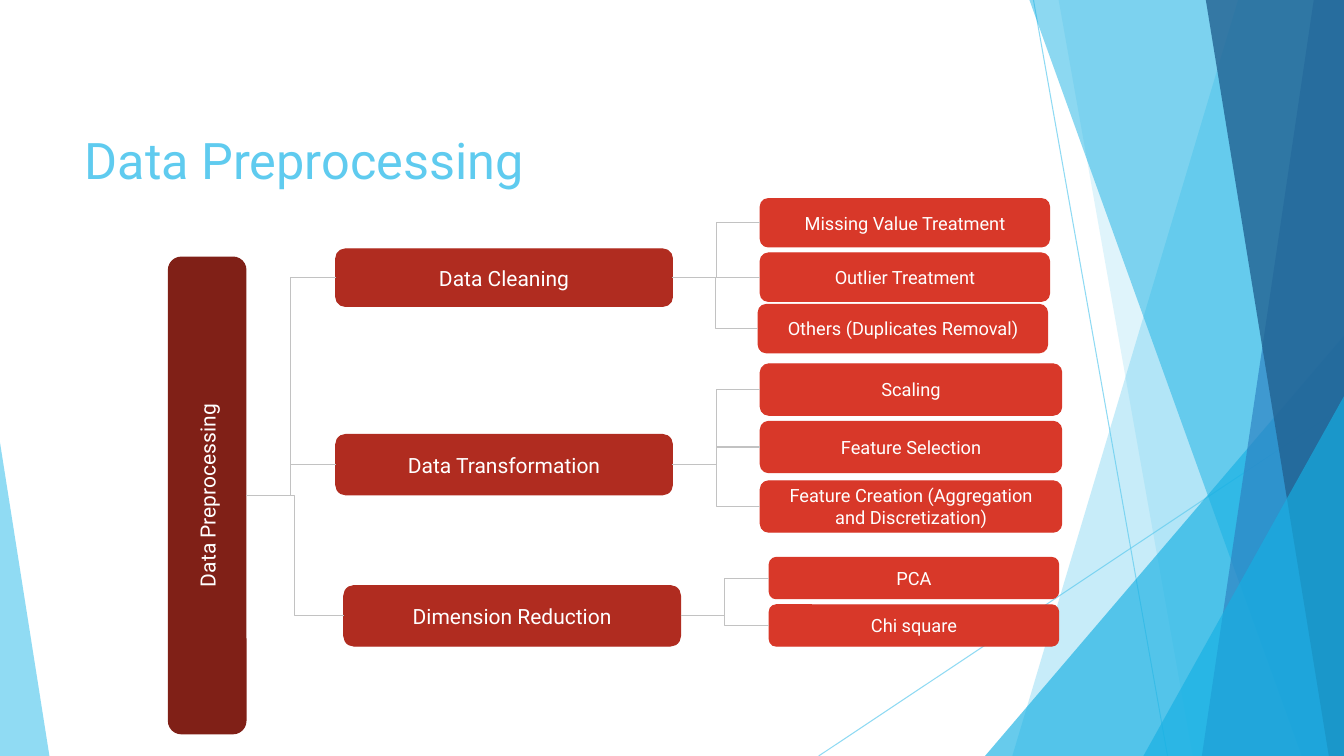
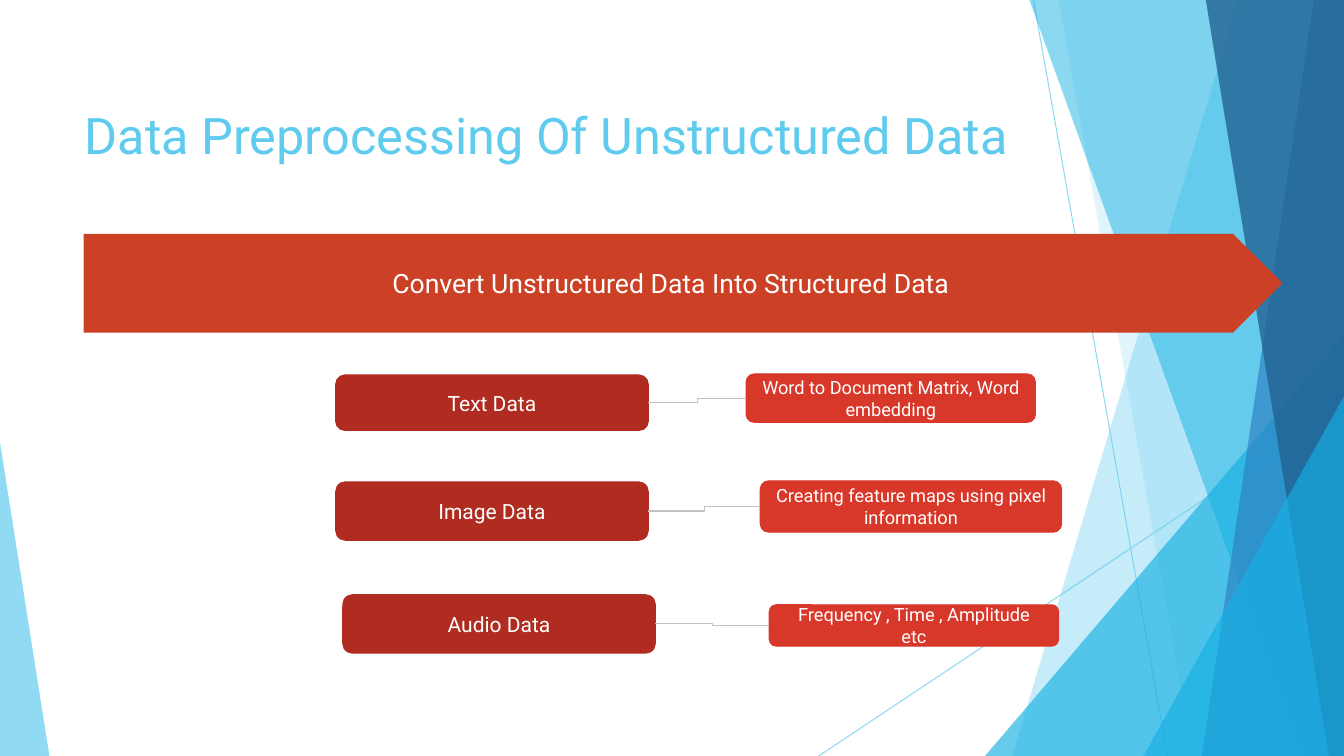
import pptx
import pptx.util
import pptx.dml.color
import pptx.enum.shapes
import pptx.enum.text
import pptx.oxml.ns
import pptx.oxml.xmlchemy

Inches, Pt = pptx.util.Inches, pptx.util.Pt
SHAPE = pptx.enum.shapes.MSO_SHAPE
CONNECTOR = pptx.enum.shapes.MSO_CONNECTOR
qn = pptx.oxml.ns.qn
new_element = pptx.oxml.xmlchemy.OxmlElement

W, H = 13.33, 7.5
FONT = "Roboto"
COLORS = {
    "sky": "5FCBEF", "cyan": "16B0E3", "blue": "2E83C3", "navy": "226292",
    "root": "802017", "branch": "B02C20", "leaf": "D83829",
    "banner": "CC4125", "wire": "C2C2C2", "white": "FFFFFF",
}
LEFT_SITE, RIGHT_SITE = 1, 3  # connection points of a rounded rectangle

# Template decoration, back to front
RAYS = [(10.25, 0, 11.58, H), (W, 4.03, 8.12, H)]
# band: x at the top edge, x at the bottom edge; both run to the right edge
# triangle: left, top, width, apex share; both rest on the bottom edge
FACETS = [
    ("band", (12.28, 10.04), "sky", 35),
    ("band", (10.5, 11.83), "sky", 20),
    ("triangle", (9.77, 3.33, 3.56, 1), "cyan", 65),
    ("band", (10.21, 12.91), "cyan", 49),
    ("band", (13.03, 11.92), "blue", 69),
    ("band", (11.96, 13.18), "navy", 80),
    ("triangle", (11.34, 3.93, 1.99, 1), "cyan", 65),
    ("triangle", (0, 4.39, 0.49, 0), "sky", 69),
]

# Content: a branch box, the size of its leaves, then leaves as text, left, top
SLIDES = [
    {
        "title": ("Data Preprocessing", (0.74, 0.67, 9.4, 1.44)),
        "root": ("Data Preprocessing", (-0.31, 4.53, 4.73, 0.77)),
        "branches": [
            ("Data Cleaning", (3.33, 2.47, 3.34, 0.57), (2.87, 0.48), [
                ("Missing Value Treatment", 7.54, 1.97),
                ("Outlier Treatment", 7.54, 2.51),
                ("Others (Duplicates Removal)", 7.52, 3.02)]),
            ("Data Transformation", (3.33, 4.31, 3.34, 0.6), (2.99, 0.51), [
                ("Scaling", 7.54, 3.61),
                ("Feature Selection", 7.54, 4.18),
                ("Feature Creation (Aggregation and Discretization)", 7.54, 4.77)]),
            ("Dimension Reduction", (3.41, 5.81, 3.34, 0.6), (2.87, 0.41), [
                ("PCA", 7.63, 5.53),
                ("Chi square", 7.63, 6)]),
        ],
    },
    {
        "title": ("Data Preprocessing Of Unstructured Data", (0.74, 0.42, 9.67, 1.44)),
        "banner": ("Convert Unstructured Data Into Structured Data",
                   (0.83, 2.32, 11.89, 0.98)),
        "branches": [
            ("Text Data", (3.33, 3.72, 3.1, 0.55), (2.87, 0.48), [
                ("Word to Document Matrix, Word embedding", 7.4, 3.71)]),
            ("Image Data", (3.33, 4.78, 3.1, 0.58), (2.99, 0.51), [
                ("Creating feature maps using pixel information", 7.54, 4.77)]),
            ("Audio Data", (3.4, 5.9, 3.1, 0.58), (2.87, 0.41), [
                ("Frequency , Time , Amplitude etc", 7.63, 6)]),
        ],
    },
]


def rgb(name):
    return pptx.dml.color.RGBColor.from_string(COLORS[name])


def paint(sp, color, outline=False):
    sp.shadow.inherit = False
    sp.fill.solid()
    sp.fill.fore_color.rgb = rgb(color)
    if outline:
        sp.line.color.rgb = rgb(color)
        sp.line.width = Pt(0.75)
    else:
        sp.line.fill.background()


def set_alpha(sp, percent):
    for clr in sp.element.iter(qn("a:srgbClr")):
        alpha = new_element("a:alpha")
        alpha.set("val", str(percent * 1000))
        clr.append(alpha)


def add_run(p, text, size, color):
    r = p.add_run()
    r.text = text
    r.font.name = FONT
    r.font.size = Pt(size)
    r.font.color.rgb = rgb(color)


def add_wire(slide, kind, start, end, color):
    line = slide.shapes.add_connector(kind, *map(Inches, start + end))
    line.line.color.rgb = rgb(color)
    line.line.width = Pt(0.75)
    line.element.spPr.append(new_element("a:effectLst"))
    return line


def add_box(slide, text, box, color, size, kind=SHAPE.ROUNDED_RECTANGLE):
    sp = slide.shapes.add_shape(kind, *map(Inches, box))
    paint(sp, color, outline=kind == SHAPE.ROUNDED_RECTANGLE)
    tf = sp.text_frame
    tf.word_wrap = True
    tf.vertical_anchor = pptx.enum.text.MSO_ANCHOR.MIDDLE
    tf.margin_left = tf.margin_right = Inches(0.13)
    tf.margin_top = tf.margin_bottom = Inches(0.13)
    p = tf.paragraphs[0]
    p.alignment = pptx.enum.text.PP_ALIGN.CENTER
    add_run(p, text, size, "white")
    return sp


def decorate(layout, slide):
    """Draw the shared decoration and move it to the layout."""
    parts = []
    for x1, y1, x2, y2 in RAYS:
        ray = add_wire(slide, CONNECTOR.STRAIGHT, (x1, y1), (x2, y2), "sky")
        set_alpha(ray, 69)
        parts.append(ray)
    for kind, geometry, color, percent in FACETS:
        if kind == "band":
            top_x, bottom_x = geometry
            outline = slide.shapes.build_freeform(Inches(top_x), 0)
            corners = [(W, 0), (W, H), (bottom_x, H)]
            outline.add_line_segments([(Inches(x), Inches(y)) for x, y in corners])
            sp = outline.convert_to_shape()
        else:
            left, top, width, apex = geometry
            sp = slide.shapes.add_shape(
                SHAPE.ISOSCELES_TRIANGLE, *map(Inches, (left, top, width, H - top)))
            sp.adjustments[0] = apex
        paint(sp, color)
        set_alpha(sp, percent)
        parts.append(sp)
    for part in parts:
        layout.shapes.element.append(part.element)


def add_title(slide, text, box):
    sp = slide.shapes.title
    sp.left, sp.top, sp.width, sp.height = map(Inches, box)
    tf = sp.text_frame
    tf.word_wrap = True
    tf.auto_size = pptx.enum.text.MSO_AUTO_SIZE.NONE
    tf.vertical_anchor = pptx.enum.text.MSO_ANCHOR.TOP
    tf.margin_top = Inches(0.61)
    p = tf.paragraphs[0]
    p.alignment = pptx.enum.text.PP_ALIGN.LEFT
    add_run(p, text, 36, "sky")


def add_tree(slide, branches, root=None):
    if root:
        text, (left, top, width, height) = root
        add_box(slide, text, (left, top, width, height), "root", 15).rotation = 270
        # The turned box is as wide as its height
        root_end = (left + (width + height) / 2, top + height / 2)
    for text, box, leaf_size, leaves in branches:
        x, y, w, h = box
        branch = add_box(slide, text, box, "branch", 15)
        if root:
            wire = add_wire(slide, CONNECTOR.ELBOW, root_end, (x, y + h / 2), "wire")
            wire.end_connect(branch, LEFT_SITE)
        for leaf_text, left, top in leaves:
            leaf = add_box(slide, leaf_text, (left, top) + leaf_size, "leaf", 13)
            wire = add_wire(slide, CONNECTOR.ELBOW, (x + w, y + h / 2),
                            (left, top + leaf_size[1] / 2), "wire")
            wire.begin_connect(branch, RIGHT_SITE)
            wire.end_connect(leaf, LEFT_SITE)


def main():
    prs = pptx.Presentation()
    prs.slide_width, prs.slide_height = Inches(W), Inches(H)
    layout = prs.slide_layouts.get_by_name("Title Only")
    for i, content in enumerate(SLIDES):
        slide = prs.slides.add_slide(layout)
        if i == 0:
            decorate(layout, slide)
        add_title(slide, *content["title"])
        add_tree(slide, content["branches"], content.get("root"))
        if "banner" in content:
            text, box = content["banner"]
            add_box(slide, text, box, "banner", 19, SHAPE.PENTAGON)
    prs.save("out.pptx")


if __name__ == "__main__":
    main()
